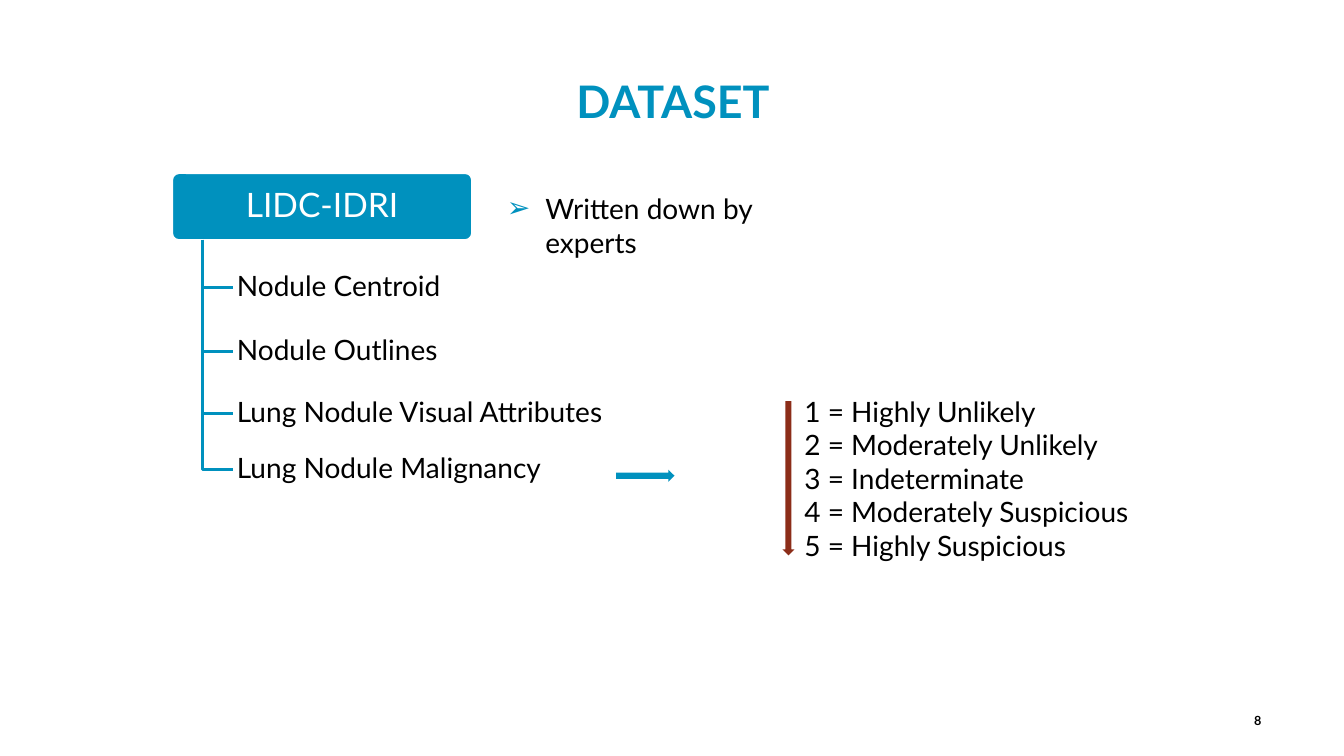
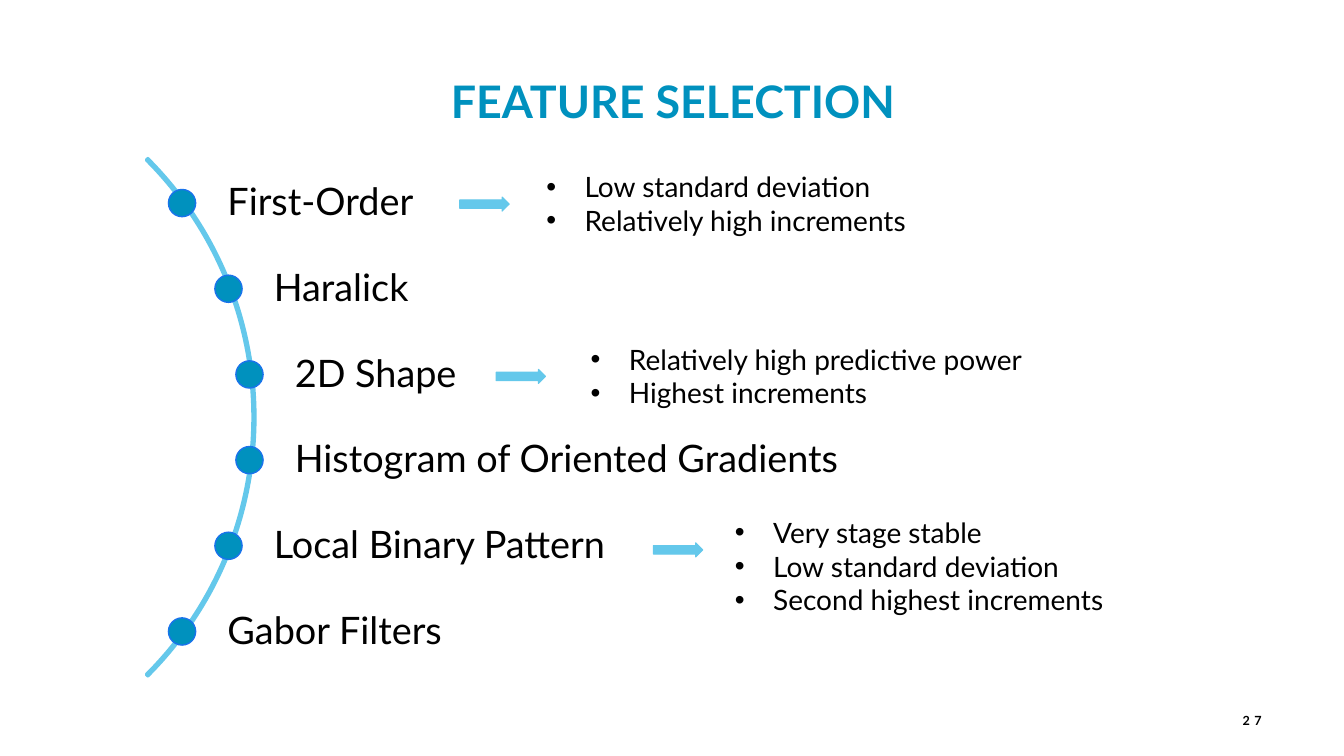
from math import sqrt
from lxml.etree import SubElement
from pptx import Presentation
from pptx.dml.color import RGBColor
from pptx.enum.shapes import MSO_SHAPE as SHAPE
from pptx.enum.text import MSO_ANCHOR as ANCHOR, PP_ALIGN as ALIGN
from pptx.oxml.ns import qn
from pptx.util import Inches, Pt

FONT = "Lato"
BLUE = RGBColor(0x00, 0x91, 0xBE)
SKY = RGBColor(0x64, 0xC8, 0xEB)
EDGE = RGBColor(0x19, 0x73, 0xEB)
RUST = RGBColor(0x8C, 0x2D, 0x19)
BLACK = RGBColor(0, 0, 0)
WHITE = RGBColor(0xFF, 0xFF, 0xFF)
INSETS = (0.1, 0.05, 0.1, 0.05)

BRANCHES = [
    (2.85, "Nodule Centroid"),
    (3.49, "Nodule Outlines"),
    (4.1, "Lung Nodule Visual Attributes"),
    (4.66, "Lung Nodule Malignancy"),
]
SCALE = ["Highly Unlikely", "Moderately Unlikely", "Indeterminate",
         "Moderately Suspicious", "Highly Suspicious"]
FEATURES = [
    ("First-Order", (4.56, 5.32, 0, ["Low standard deviation", "Relatively high increments"])),
    ("Haralick", None),
    ("2D Shape", (4.92, 5.76, 0.01, ["Relatively high predictive power", "Highest increments"])),
    ("Histogram of Oriented Gradients", None),
    ("Local Binary Pattern", (6.48, 7.19, 0.03, ["Very stage stable", "Low standard deviation",
                                                 "Second highest increments"])),
    ("Gabor Filters", None),
]


def add_bullet(para, char, color):
    props = para._p.get_or_add_pPr()
    props.set("marL", str(Inches(0.38)))
    props.set("indent", str(-Inches(0.38)))
    if color is not None:
        tint = SubElement(props, qn("a:buClr"))
        SubElement(tint, qn("a:srgbClr")).set("val", str(color))
    SubElement(props, qn("a:buFont")).set("typeface", "Arial")
    SubElement(props, qn("a:buChar")).set("char", char)


def write(frame, lines, size=20, color=BLACK, bold=False, align=ALIGN.LEFT,
          anchor=ANCHOR.TOP, insets=INSETS, spacing=None, bullet=None, tint=None):
    frame.word_wrap = True
    frame.vertical_anchor = anchor
    (frame.margin_left, frame.margin_top,
     frame.margin_right, frame.margin_bottom) = map(Inches, insets)
    for i, line in enumerate(lines):
        para = frame.paragraphs[0] if i == 0 else frame.add_paragraph()
        para.text = line
        para.alignment = align
        if spacing:
            para.line_spacing = spacing
        if bullet:
            add_bullet(para, bullet, tint)
        font = para.font
        font.name, font.size, font.bold = FONT, Pt(size), bold
        font.color.rgb = color


def add_text(slide, box, lines, **style):
    frame = slide.shapes.add_textbox(*map(Inches, box)).text_frame
    write(frame, lines, **style)
    return frame


def add_shape(slide, kind, box, fill, line=None, width=1, adjust=()):
    shape = slide.shapes.add_shape(kind, *map(Inches, box))
    shape.shadow.inherit = False
    shape.fill.solid()
    shape.fill.fore_color.rgb = fill
    if line is None:
        shape.line.fill.background()
    else:
        shape.line.color.rgb = line
        shape.line.width = Pt(width)
    for i, value in enumerate(adjust):
        shape.adjustments[i] = value
    return shape


def start_slide(deck, title, number):
    slide = deck.slides.add_slide(deck.slide_layouts[6])
    add_text(slide, (0, 0.68, 13.35, 0.64), [title], size=32, color=BLUE,
             bold=True, align=ALIGN.CENTER)
    page = add_text(slide, (11.82, 6.95, 0.79, 0.4), [number], size=9, bold=True,
                    align=ALIGN.RIGHT, anchor=ANCHOR.MIDDLE)
    page.paragraphs[0].runs[0]._r.get_or_add_rPr().set("spc", "300")
    return slide


def add_tree(slide, box):
    left, top, width, height = box
    root = add_shape(slide, SHAPE.ROUNDED_RECTANGLE, box, BLUE, WHITE, 1, (0.1,))
    write(root.text_frame, ["LIDC-IDRI"], size=24, color=WHITE, align=ALIGN.CENTER,
          anchor=ANCHOR.MIDDLE, insets=(0.05, 0.03, 0.05, 0.03), spacing=0.9)
    trunk, tip = left + 0.3, left + 0.6
    for y, label in BRANCHES:
        path = slide.shapes.build_freeform(Inches(trunk), Inches(top + height))
        path.add_line_segments([(Inches(trunk), Inches(y)), (Inches(tip), Inches(y))],
                               close=False)
        elbow = path.convert_to_shape()
        elbow.shadow.inherit = False
        elbow.fill.background()
        elbow.line.color.rgb = BLUE
        elbow.line.width = Pt(2.25)
        add_text(slide, (tip, y - 0.2, 4.8, 0.4), [label], anchor=ANCHOR.MIDDLE,
                 insets=(0.04, 0.03, 0.04, 0.03), spacing=0.9)


def add_scale(slide, box):
    left, top, width, height = box
    add_shape(slide, SHAPE.DOWN_ARROW, (left, top + 0.12, 0.12, 1.53), RUST)
    add_text(slide, (left + 0.12, top, width - 0.12, height),
             [f"{i} = {name}" for i, name in enumerate(SCALE, 1)])


def add_arc(slide, mid, radius):
    x, y = mid
    side = 2 * radius
    add_shape(slide, SHAPE.BLOCK_ARC, (x - radius, y - radius, side, side),
              SKY, SKY, 2.25, (189, 27, 0.003))
    pitch, dot, right, track = 0.85, 0.27, 9.34, radius - 0.03
    for i, (name, note) in enumerate(FEATURES):
        rise = (i - (len(FEATURES) - 1) / 2) * pitch
        row = y + rise
        hub = x + sqrt(track ** 2 - rise ** 2)
        add_text(slide, (hub, row - 0.28, right - hub, 0.57), [name], size=27,
                 anchor=ANCHOR.MIDDLE, insets=(0.45, 0.07, 0.07, 0.07), spacing=0.9)
        add_shape(slide, SHAPE.OVAL, (hub - dot / 2, row - dot / 2, dot, dot), BLUE, EDGE)
        if note:
            add_note(slide, row, *note)


def add_note(slide, row, start, left, drop, lines):
    add_shape(slide, SHAPE.RIGHT_ARROW, (start, row + drop - 0.06, 0.49, 0.14),
              SKY, SKY, 0.75, (0.6, 0.5))
    add_text(slide, (left, row + drop - 0.38, 4.9, 0.1 + len(lines) / 3), lines, bullet="•")


def make_dataset(deck):
    slide = start_slide(deck, "DATASET", "8")
    add_tree(slide, (1.71, 1.72, 2.97, 0.66))
    add_shape(slide, SHAPE.RIGHT_ARROW, (6.11, 4.66, 0.58, 0.12), BLUE)
    add_scale(slide, (7.76, 3.86, 3.65, 1.78))
    add_text(slide, (4.93, 1.85, 3.3, 0.78), ["Written down by experts"],
             bullet="➢", tint=BLUE)


def make_features(deck):
    slide = start_slide(deck, "FEATURE SELECTION", "27")
    add_arc(slide, (-1.1, 4.14), 3.63)


def main():
    deck = Presentation()
    deck.slide_width, deck.slide_height = Inches(13.33), Inches(7.5)
    make_dataset(deck)
    make_features(deck)
    deck.save("out.pptx")


if __name__ == "__main__":
    main()
